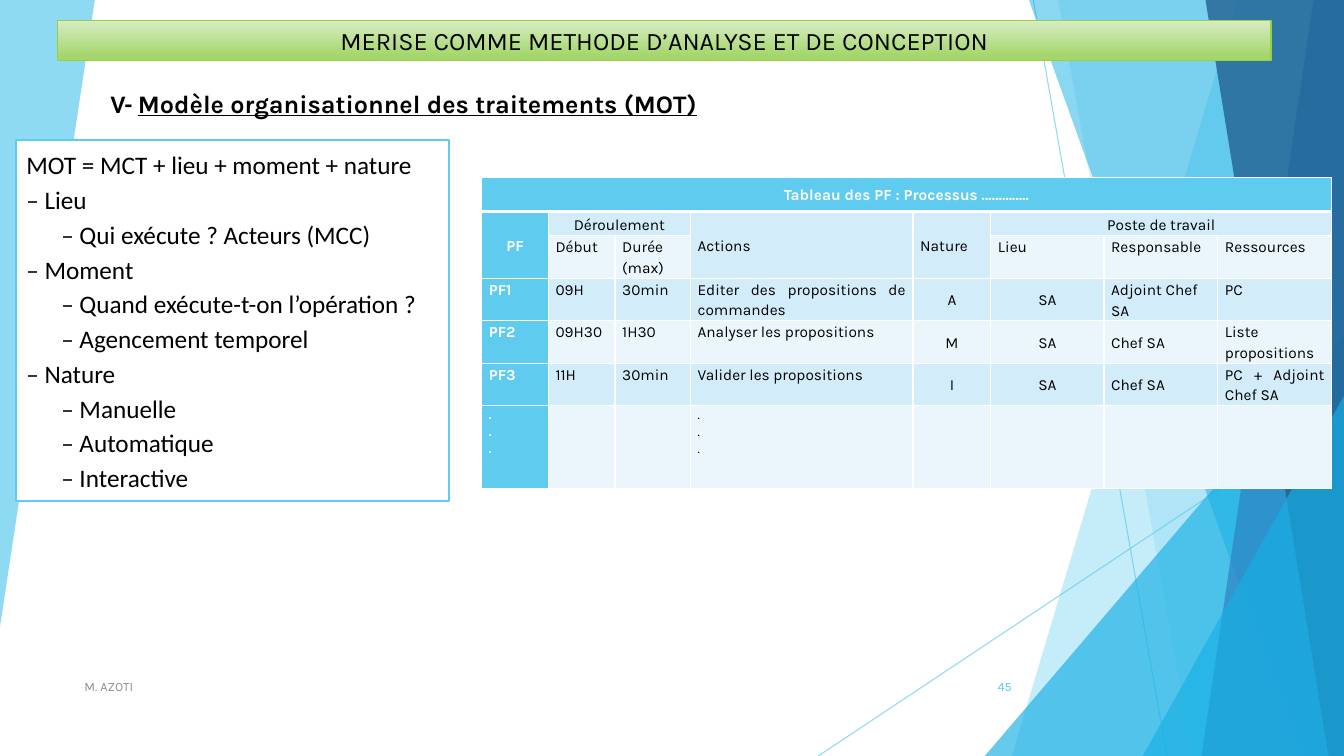
from lxml import etree
from pptx import Presentation
from pptx import util as u
from pptx.dml.color import RGBColor
from pptx.enum import shapes, text
from pptx.oxml.ns import qn

SKY, BLUE, WHITE, BLACK = "5FCBEF", "17B0E4", "FFFFFF", "000000"
LEFT, CENTER, RIGHT, JUSTIFY = (text.PP_ALIGN.LEFT, text.PP_ALIGN.CENTER,
                                text.PP_ALIGN.RIGHT, text.PP_ALIGN.JUSTIFY)
TOP, MIDDLE = text.MSO_ANCHOR.TOP, text.MSO_ANCHOR.MIDDLE


def paint(fill, color):
    fill.solid()
    fill.fore_color.rgb = RGBColor.from_string(color)


def add_run(p, words, size, color=BLACK, font="Karla", bold=False):
    r = p.add_run()
    r.text = words
    r.font.size, r.font.name, r.font.bold = u.Pt(size), font, bold
    paint(r.font.fill, color)
    return r


prs = Presentation()
prs.slide_width, prs.slide_height = u.Cm(33.87), u.Cm(19.05)
s = prs.slides.add_slide(prs.slide_layouts[1])
backdrop = []

# Backdrop: thin lines
for ends in ((26.04, 0, 29.41, 19.05), (33.87, 10.24, 20.62, 19.05)):
    line = s.shapes.add_connector(shapes.MSO_CONNECTOR.STRAIGHT, *map(u.Cm, ends))
    paint(line.line.fill, SKY)
    line.line.width = u.Pt(0.75)
    etree.SubElement(line.element.spPr, qn("a:effectLst"))
    backdrop.append((line, 70))

# Backdrop: bands running to the right edge, given by top and bottom x,
# and right-angled triangles, given by their box
facets = [
    ((31.19, 25.5), SKY, 36),
    ((26.67, 30.05), SKY, 20),
    ((24.82, 8.46, 9.05, 10.59), BLUE, 66),
    ((25.93, 32.79), BLUE, 50),
    ((33.1, 30.28), "2E83C3", 70),
    ((30.38, 33.48), "226292", 80),
    ((28.8, 9.98, 5.07, 9.07), BLUE, 66),
    ((0, 2.39, 15.8), SKY, 70),
]
for geometry, color, alpha in facets:
    if len(geometry) == 4:
        sp = s.shapes.add_shape(shapes.MSO_SHAPE.ISOSCELES_TRIANGLE, *map(u.Cm, geometry))
        sp.adjustments[0] = 1
    else:
        if len(geometry) == 2:
            top_x, bottom_x = geometry
            points = [(top_x, 0), (33.87, 0), (33.87, 19.05), (bottom_x, 19.05)]
        else:
            left, right, bottom = geometry
            points = [(left, 0), (right, 0), (left, bottom)]
        points = [(u.Cm(x), u.Cm(y)) for x, y in points]
        outline = s.shapes.build_freeform(*points[0])
        outline.add_line_segments(points[1:], close=True)
        sp = outline.convert_to_shape()
    paint(sp.fill, color)
    sp.line.fill.background()
    sp.shadow.inherit = False
    backdrop.append((sp, alpha))

# Backdrop: transparency
for sp, alpha in backdrop:
    for clr in sp.element.spPr.iter(qn("a:srgbClr")):
        etree.SubElement(clr, qn("a:alpha"), val=str(alpha * 1000))

# Title bar and list frame, brought in front of the backdrop
title, body = s.shapes.title, s.placeholders[1]
frames = [
    (title, (1.45, 0.51, 30.58, 1.02), "96D141", 1, MIDDLE),
    (body, (0.41, 3.53, 10.9, 9.09), SKY, 1.5, TOP),
]
for sp, box, color, width, anchor in frames:
    sp.element.getparent().append(sp.element)
    sp.left, sp.top, sp.width, sp.height = map(u.Cm, box)
    paint(sp.line.fill, color)
    sp.line.width = u.Pt(width)
    sp.text_frame.auto_size = text.MSO_AUTO_SIZE.NONE
    sp.text_frame.vertical_anchor = anchor

title.fill.gradient()
title.fill.gradient_angle = 270
for stop, position, color in zip(title.fill.gradient_stops, (0, 0.88), ("D8ECC5", "A5D66C")):
    stop.position = position
    stop.color.rgb = RGBColor.from_string(color)
p = title.text_frame.paragraphs[0]
p.alignment = CENTER
add_run(p, "MERISE COMME METHODE D’ANALYSE ET DE CONCEPTION", 18)

# List
paint(body.fill, WHITE)
items = [
    (0, "MOT = MCT + lieu + moment + nature"),
    (0, "– Lieu"),
    (1, "– Qui exécute ? Acteurs (MCC)"),
    (0, "– Moment"),
    (1, "– Quand exécute-t-on l’opération ?"),
    (1, "– Agencement temporel"),
    (0, "– Nature"),
    (1, "– Manuelle"),
    (1, "– Automatique"),
    (1, "– Interactive"),
]
tf = body.text_frame
for i, (level, words) in enumerate(items):
    p = tf.add_paragraph() if i else tf.paragraphs[0]
    p.level, p.alignment, p.line_spacing = level, LEFT, 1.15
    p.space_before = p.space_after = u.Pt(0)
    pPr = p._p.get_or_add_pPr()
    pPr.set("marL", str(u.Cm(0.88 * level)))
    pPr.set("indent", "0")
    etree.SubElement(pPr, qn("a:buNone"))
    add_run(p, words, 18, font="Calibri")

# Section heading, footer and slide number
labels = [
    ((2.54, 2.11, 23.22, 1.02), LEFT, TOP,
     [("V- ", 18, BLACK, "Calibri", True),
      ("Modèle organisationnel des traitements (MOT)", 18, BLACK, "Karla", True)]),
    ((1.88, 16.79, 17.5, 1.02), LEFT, MIDDLE, [("M. AZOTI", 9, "8C8C8C")]),
    ((23.85, 16.79, 1.9, 1.02), RIGHT, MIDDLE, [("45", 9, SKY)]),
]
for box, align, anchor, runs in labels:
    tf = s.shapes.add_textbox(*map(u.Cm, box)).text_frame
    tf.word_wrap, tf.vertical_anchor = True, anchor
    p = tf.paragraphs[0]
    p.alignment = align
    for run in runs:
        r = add_run(p, *run)
        r.font.underline = True if run[0].startswith("Modèle") else None

# Table
rows = [
    ["Tableau des PF : Processus …………..", "", "", "", "", "", "", ""],
    ["PF", "Déroulement", "", "Actions", "Nature", "Poste de travail", "", ""],
    ["", "Début", "Durée (max)", "", "", "Lieu", "Responsable", "Ressources"],
    ["PF1", "09H", "30min", "Editer des propositions de commandes", "A", "SA",
     "Adjoint Chef SA", "PC"],
    ["PF2", "09H30", "1H30", "Analyser les propositions", "M", "SA", "Chef SA",
     "Liste propositions"],
    ["PF3", "11H", "30min", "Valider les propositions", "I", "SA", "Chef SA",
     "PC + Adjoint Chef SA"],
    [".\n.\n.", "", "", ".\n.\n.", "", "", "", ""],
]
col_widths = [1.68, 1.68, 1.9, 5.61, 1.96, 2.85, 2.87, 2.87]
row_heights = [0.86, 0.61, 0.89, 0.89, 0.89, 0.89, 2.08]
table = s.shapes.add_table(len(rows), len(col_widths), u.Cm(12.14), u.Cm(4.47),
                           u.Cm(sum(col_widths)), u.Cm(sum(row_heights))).table
table.first_row = table.horz_banding = False
for col, width in zip(table.columns, col_widths):
    col.width = u.Cm(width)
for row, height in zip(table.rows, row_heights):
    row.height = u.Cm(height)
for r0, c0, r1, c1 in ((0, 0, 0, 7), (1, 0, 2, 0), (1, 1, 1, 2), (1, 3, 2, 3),
                       (1, 4, 2, 4), (1, 5, 1, 7)):
    table.cell(r0, c0).merge(table.cell(r1, c1))

for i, row in enumerate(rows):
    for j, words in enumerate(row):
        cell = table.cell(i, j)
        head = i == 0 or j == 0
        # White borders, thicker under the heading row
        for side in "LRTB":
            thick = (i, side) in ((0, "B"), (1, "T"))
            ln = etree.SubElement(cell._tc.get_or_add_tcPr(), qn("a:ln" + side),
                                  w=str(u.Pt(3 if thick else 1)))
            solid = etree.SubElement(ln, qn("a:solidFill"))
            etree.SubElement(solid, qn("a:srgbClr"), val=WHITE)
        paint(cell.fill, SKY if head else "D2ECF9" if i % 2 else "EAF6FC")
        cell.margin_left = cell.margin_right = u.Cm(0.18)
        cell.margin_top = cell.margin_bottom = 0
        if not words:
            continue
        if i < 2:
            align = LEFT if words in ("Actions", "Nature") else CENTER
        else:
            align = {4: CENTER, 5: CENTER, 6: LEFT}.get(j, JUSTIFY) if i > 2 else JUSTIFY
        cell.vertical_anchor = MIDDLE if i < 2 or align != JUSTIFY else TOP
        for k, part in enumerate(words.split("\n")):
            p = cell.text_frame.add_paragraph() if k else cell.text_frame.paragraphs[0]
            p.alignment, p.line_spacing = align, 1.15
            add_run(p, part, 9 if i == 6 else 11, WHITE if head else BLACK, bold=head)

prs.save("out.pptx")
